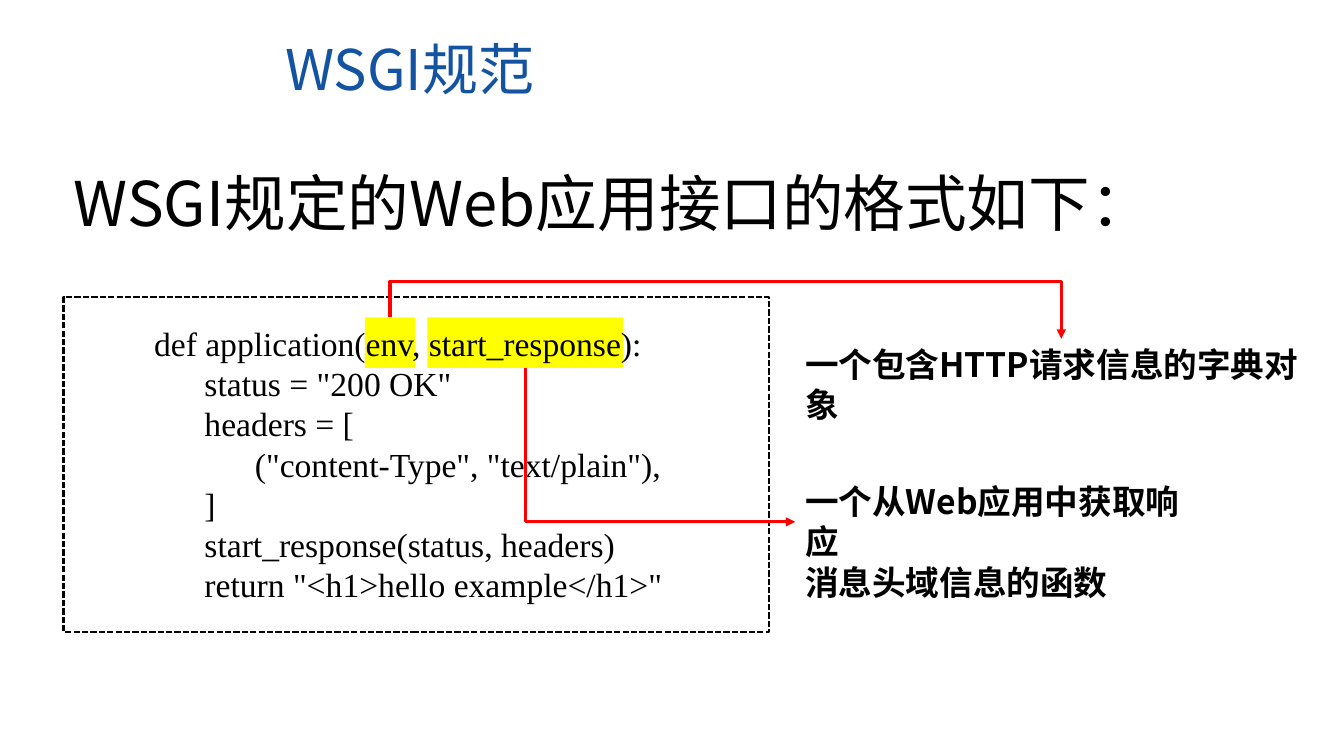
import pptx
import pptx.util
import pptx.dml.color
import pptx.enum.dml
import pptx.enum.shapes
import pptx.enum.text
import pptx.oxml
import pptx.oxml.ns

Pt = pptx.util.Pt
COLORS = {"title": "1353A2", "text": "000000", "mark": "FFFF00", "arrow": "FF0000"}
SANS, SERIF = "Noto Sans CJK SC", "Times New Roman"
INDENT = 36

TITLE = ["WSGI规范"]
LEAD = ["WSGI规定的Web应用接口的格式如下："]
# Each code line is (indent level, text).
CODE = [
    (0, "def application(env, start_response):"),
    (1, 'status = "200 OK"'),
    (1, "headers = ["),
    (2, '("content-Type", "text/plain"),'),
    (1, "]"),
    (1, "start_response(status, headers)"),
    (1, 'return "<h1>hello example</h1>"'),
]
ENV_NOTE = ["一个包含HTTP请求信息的字典对象"]
RESPONSE_NOTE = ["一个从Web应用中获取响应", "消息头域信息的函数"]

# Left, top, width, height in points.
ENV_MARK = (260.6, 226.8, 36, 36)
RESPONSE_MARK = (305.3, 226.8, 139.7, 36)
CODE_FRAME = (45.4, 212.4, 504, 239)
ENV_BOX = (568, 242, 380.2, 36)
RESPONSE_BOX = (568, 340, 295.2, 65.5)
ARROW_RISE = 26


def rgb(name):
    return pptx.dml.color.RGBColor.from_string(COLORS[name])


def add_text(slide, place, lines, size=24, font=SANS, color="text", bold=False, spacing=None):
    """Add a text box; a line is a string or an (indent level, string) pair."""
    box = slide.shapes.add_textbox(*map(Pt, place))
    frame = box.text_frame
    frame.word_wrap = True
    frame.auto_size = pptx.enum.text.MSO_AUTO_SIZE.SHAPE_TO_FIT_TEXT
    for number, line in enumerate(lines):
        level, text = (0, line) if isinstance(line, str) else line
        para = frame.add_paragraph() if number else frame.paragraphs[0]
        para.line_spacing = spacing
        if level:
            para._p.get_or_add_pPr().set("marL", str(Pt(level * INDENT)))
        span = para.add_run()
        span.text = text
        span.font.size = Pt(size)
        span.font.bold = bold
        span.font.name = font
        span.font.color.rgb = rgb(color)
        east_asian = pptx.oxml.parse_xml(
            f'<a:ea {pptx.oxml.ns.nsdecls("a")} typeface="{font}"/>')
        span.font._element.find(pptx.oxml.ns.qn("a:latin")).addnext(east_asian)


def add_rectangle(slide, place, fill=None, line=None):
    shape = slide.shapes.add_shape(
        pptx.enum.shapes.MSO_SHAPE.RECTANGLE, *map(Pt, place))
    shape.shadow.inherit = False
    if fill:
        shape.fill.solid()
        shape.fill.fore_color.rgb = rgb(fill)
    else:
        shape.fill.background()
    if line:
        shape.line.color.rgb = rgb(line)
        shape.line.width = Pt(1.5)
        shape.line.dash_style = pptx.enum.dml.MSO_LINE.SQUARE_DOT
        shape.line._ln.find(pptx.oxml.ns.qn("a:prstDash")).set("val", "sysDash")
    else:
        shape.line.fill.background()


def add_elbow(slide, start, end, rise=None):
    """Add an arrow that leaves vertically: one bend, or two bends above the start by rise."""
    middle_x, middle_y = (start[0] + end[0]) / 2, (start[1] + end[1]) / 2
    half_x, half_y = (end[0] - start[0]) / 2, (end[1] - start[1]) / 2
    # The connector is laid out on its side, then turned by 270 degrees.
    arrow = slide.shapes.add_connector(
        pptx.enum.shapes.MSO_CONNECTOR.ELBOW,
        Pt(middle_x + half_y), Pt(middle_y - half_x),
        Pt(middle_x - half_y), Pt(middle_y + half_x))
    arrow.line.color.rgb = rgb("arrow")
    arrow.line.width = Pt(2.25)
    properties = arrow._element.spPr
    properties.xfrm.set("rot", str(270 * 60000))
    geometry = properties.find(pptx.oxml.ns.qn("a:prstGeom"))
    if rise is None:
        geometry.set("prst", "bentConnector2")
    else:
        bend = round(-rise / (end[1] - start[1]) * 100000)
        guides = geometry.get_or_add_avLst()
        guides.append(pptx.oxml.parse_xml(
            f'<a:gd {pptx.oxml.ns.nsdecls("a")} name="adj1" fmla="val {bend}"/>'))
    arrow.line._ln.append(pptx.oxml.parse_xml(
        f'<a:tailEnd {pptx.oxml.ns.nsdecls("a")} type="triangle"/>'))
    properties.append(pptx.oxml.parse_xml(
        f'<a:effectLst {pptx.oxml.ns.nsdecls("a")}/>'))


def center_x(place):
    return place[0] + place[2] / 2


def main():
    deck = pptx.Presentation()
    deck.slide_width, deck.slide_height = Pt(960), Pt(540)
    page = deck.slides.add_slide(deck.slide_layouts[6])

    for mark in (ENV_MARK, RESPONSE_MARK):
        add_rectangle(page, mark, fill="mark")
    add_text(page, (196.6, 20.9, 423.4, 55.4), TITLE, size=40, color="title")
    add_text(page, (45.4, 103.7, 895, 65.5), LEAD, size=44, spacing=1.2)
    add_rectangle(page, CODE_FRAME, line="text")
    add_text(page, (103, 226.8, 386.6, 211), CODE, font=SERIF)

    add_elbow(page, (center_x(ENV_MARK), ENV_MARK[1]),
              (center_x(ENV_BOX), ENV_BOX[1]), rise=ARROW_RISE)
    add_text(page, ENV_BOX, ENV_NOTE, bold=True)
    add_elbow(page, (center_x(RESPONSE_MARK), RESPONSE_MARK[1] + RESPONSE_MARK[3]),
              (RESPONSE_BOX[0], RESPONSE_BOX[1] + RESPONSE_BOX[3] / 2))
    add_text(page, RESPONSE_BOX, RESPONSE_NOTE, bold=True)
    deck.save("out.pptx")


if __name__ == "__main__":
    main()
